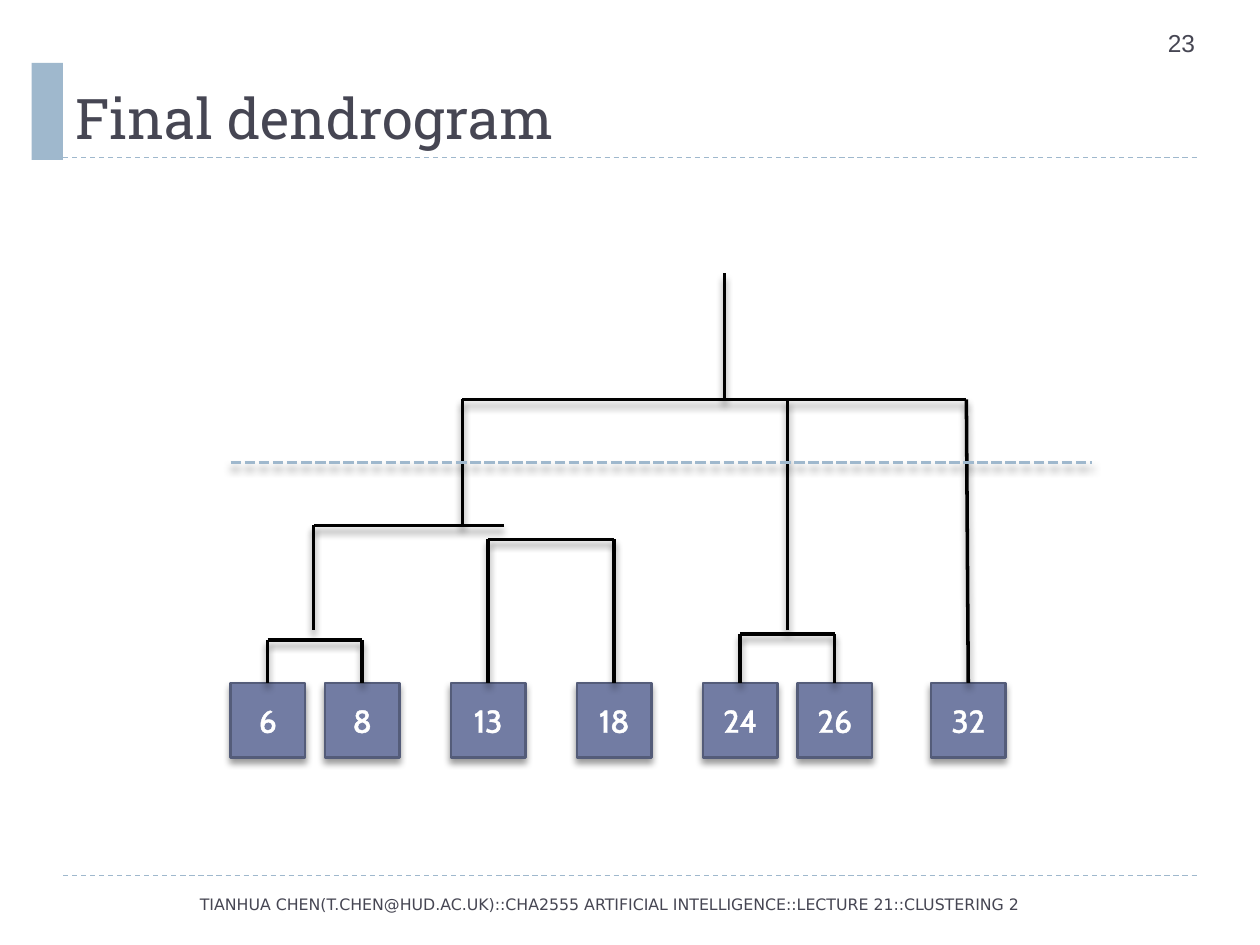
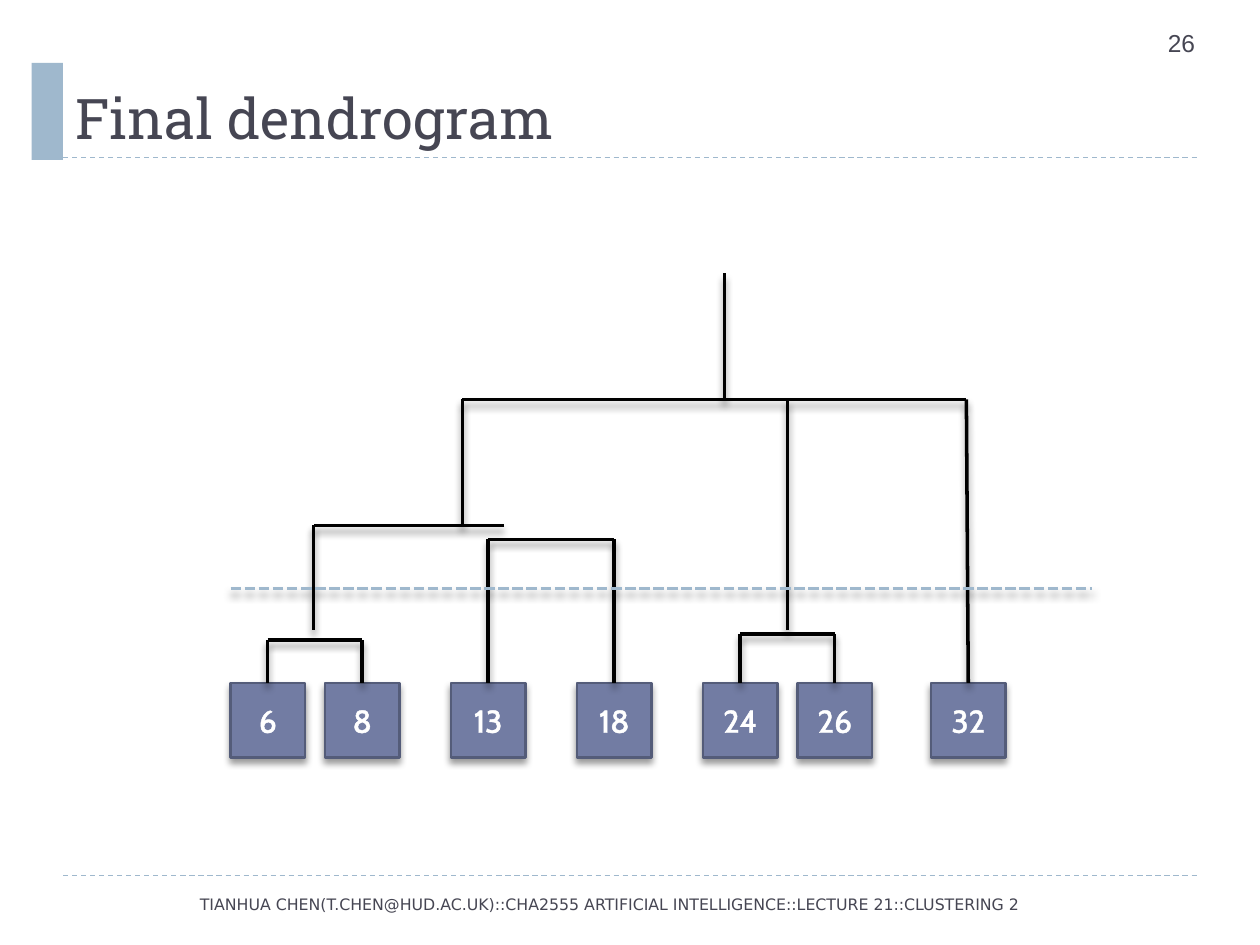
"""Build two slides that cut the final dendrogram at different heights."""
from pptx import Presentation, util as u
from pptx.dml.color import RGBColor
from pptx.enum import dml, shapes, text
from pptx.oxml import parse_xml
from pptx.oxml.ns import nsdecls

INK = RGBColor(0x46, 0x46, 0x53)
SKY = RGBColor(0x9F, 0xB8, 0xCD)
BLUE = RGBColor(0x72, 0x7C, 0xA3)
EDGE = RGBColor(0x54, 0x5C, 0x79)
BLACK = RGBColor(0, 0, 0)
WHITE = RGBColor(0xFF, 0xFF, 0xFF)
NS = nsdecls("a")
FLAT = f"<a:effectLst {NS}/>"
SHADE = (f'<a:effectLst {NS}><a:outerShdw blurRad="50800" dist="%d" dir="5400000" rotWithShape="0">'
         '<a:srgbClr val="000000"><a:alpha val="40000"/></a:srgbClr></a:outerShdw></a:effectLst>')
RIM = f'<a:ln {NS} w="18415"><a:solidFill><a:srgbClr val="FFFFFF"/></a:solidFill></a:ln>'
FOOT = "TIANHUA CHEN(T.CHEN@HUD.AC.UK)::CHA2555 ARTIFICIAL INTELLIGENCE::LECTURE 21::CLUSTERING 2"

SIDE, TOP = 0.59, 5.42
LEAVES = {"6": 1.83, "8": 2.58, "13": 3.58, "18": 4.58, "24": 5.58, "26": 6.33, "32": 7.39}
PAIRS = [("6", "8", 5.08), ("13", "18", 4.28), ("24", "26", 5.03)]
LIMBS = [(4, 4.17, 2.49, 4.17), (2.49, 4.17, 2.49, 5), (3.67, 4.17, 3.67, 3.17),
         (7.67, 3.17, 3.67, 3.17), (6.25, 5, 6.25, 3.17), (5.75, 3.17, 5.75, 2.17)]


def write(shape, words, font, size, color=INK, align=text.PP_ALIGN.LEFT,
          anchor=text.MSO_ANCHOR.MIDDLE):
    """Put one formatted run of words into a shape."""
    frame = shape.text_frame
    frame.word_wrap = True
    frame.auto_size = text.MSO_AUTO_SIZE.NONE
    frame.vertical_anchor = anchor
    para = frame.paragraphs[0]
    para.alignment = align
    run = para.add_run()
    run.text = words
    run.font.name = font
    run.font.size = u.Pt(size)
    run.font.color.rgb = color
    return run


def draw(slide, ends, color=BLACK, width=2, dash=None, effect=SHADE % 43180):
    """Draw a straight line between two points."""
    line = slide.shapes.add_connector(shapes.MSO_CONNECTOR.STRAIGHT, *map(u.Inches, ends))
    line.line.color.rgb = color
    line.line.width = u.Pt(width)
    if dash:
        line.line.dash_style = dash
    line.element.spPr.append(parse_xml(effect))
    return line


deck = Presentation()
deck.slide_width, deck.slide_height = u.Inches(10), u.Inches(7.5)

for page, cut in (("23", 3.67), ("26", 4.67)):
    slide = deck.slides.add_slide(deck.slide_layouts[5])

    for y in (6.95, 1.25):
        draw(slide, (0.5, y, 9.5, y), SKY, 0.75, dml.MSO_LINE.DASH, FLAT)
    band = slide.shapes.add_shape(shapes.MSO_SHAPE.RECTANGLE,
                                  *map(u.Inches, (0.25, 0.5, 0.25, 0.77)))
    band.shadow.inherit = False
    band.fill.solid()
    band.fill.fore_color.rgb = SKY
    band.line.fill.background()

    title = slide.shapes.title
    title.left, title.top, title.width, title.height = map(u.Inches, (0.5, 0.17, 9, 1.08))
    write(title, "Final dendrogram", "Roboto Slab", 32, anchor=text.MSO_ANCHOR.BOTTOM)
    note = slide.shapes.add_textbox(*map(u.Inches, (9.17, 0.17, 0.83, 0.4)))
    write(note, page, "Arial", 14, anchor=text.MSO_ANCHOR.TOP)
    foot = slide.shapes.add_textbox(*map(u.Inches, (0.2, 6.96, 9.27, 0.44)))
    write(foot, FOOT, "DejaVu Sans", 9, align=text.PP_ALIGN.CENTER)

    leaf = {}
    for name, left in LEAVES.items():
        box = slide.shapes.add_shape(shapes.MSO_SHAPE.RECTANGLE,
                                     *map(u.Inches, (left, TOP, SIDE, SIDE)))
        box.fill.solid()
        box.fill.fore_color.rgb = BLUE
        box.line.color.rgb = EDGE
        box.line.width = u.Pt(1.5)
        box.element.spPr.append(parse_xml(SHADE % 38100))
        run = write(box, name, "Cabin", 18, WHITE, text.PP_ALIGN.CENTER)
        run.font._element.insert(0, parse_xml(RIM))
        leaf[name] = box

    for first, last, y in PAIRS:
        mids = [LEAVES[name] + SIDE / 2 for name in (first, last)]
        for name, x in zip((first, last), mids):
            draw(slide, (x, TOP, x, y)).begin_connect(leaf[name], 0)
        draw(slide, (mids[0], y, mids[1], y))

    for ends in LIMBS:
        draw(slide, ends)
    draw(slide, (7.69, TOP, 7.67, 3.17)).begin_connect(leaf["32"], 0)
    draw(slide, (1.83, cut, 8.67, cut), SKY, dash=dml.MSO_LINE.SQUARE_DOT)

deck.save("out.pptx")
